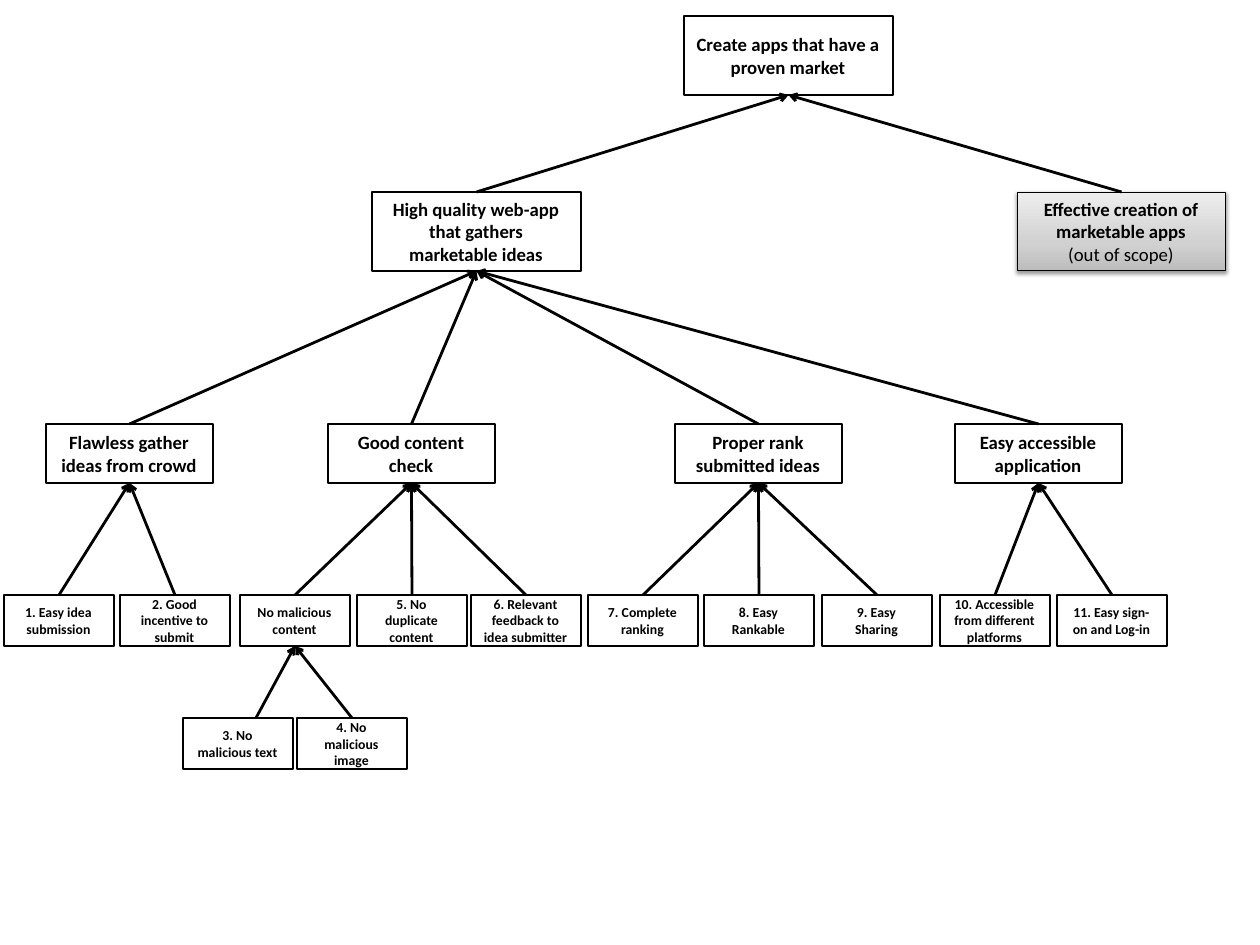
from copy import deepcopy

from lxml.etree import SubElement
from pptx import Presentation
from pptx.dml.color import RGBColor
from pptx.enum.shapes import MSO_CONNECTOR, MSO_SHAPE
from pptx.enum.text import MSO_ANCHOR, PP_ALIGN
from pptx.oxml.ns import qn
from pptx.util import Pt

PX = 914400 // 90
BLACK = RGBColor(0x00, 0x00, 0x00)
WHITE = RGBColor(0xFF, 0xFF, 0xFF)
GREYS = [(0, RGBColor(0xBD, 0xBD, 0xBD)), (35, RGBColor(0xD1, 0xD1, 0xD1)),
         (100, RGBColor(0xEE, 0xEE, 0xEE))]

# level: top, width, height, text size
LEVELS = {
    "vision": (16, 209, 79, 15),
    "goal": (192, 209, 79, 15),
    "subgoal": (424, 167, 59, 15),
    "leaf": (595, 110, 51, 11),
    "detail": (718, 110, 51, 11),
}

# name, parent, level, left, text
GOALS = [
    ("market", None, "vision", 684, "Create apps that have a proven market"),
    ("webapp", "market", "goal", 372, "High quality web-app that gathers marketable ideas"),
    ("scope", "market", "goal", 1017, "Effective creation of marketable apps"),
    ("gather", "webapp", "subgoal", 46, "Flawless gather ideas from crowd"),
    ("check", "webapp", "subgoal", 328, "Good content check"),
    ("rank", "webapp", "subgoal", 675, "Proper rank submitted ideas"),
    ("access", "webapp", "subgoal", 955, "Easy accessible application"),
    ("idea", "gather", "leaf", 4, "1. Easy idea submission"),
    ("incentive", "gather", "leaf", 120, "2. Good incentive to submit"),
    ("malicious", "check", "leaf", 240, "No malicious content"),
    ("duplicate", "check", "leaf", 357, "5. No duplicate content"),
    ("feedback", "check", "leaf", 471, "6. Relevant feedback to idea submitter"),
    ("complete", "rank", "leaf", 588, "7. Complete ranking"),
    ("rankable", "rank", "leaf", 704, "8. Easy Rankable"),
    ("sharing", "rank", "leaf", 822, "9. Easy Sharing"),
    ("platforms", "access", "leaf", 940, "10. Accessible from different platforms"),
    ("login", "access", "leaf", 1057, "11. Easy sign-on and Log-in"),
    ("text", "malicious", "detail", 183, "3. No malicious text"),
    ("image", "malicious", "detail", 297, "4. No malicious image"),
]
OUT_OF_SCOPE = {"scope": "(out of scope)"}
START_X = {"text": 256}  # arrow that leaves its box off centre


def add_text(tf, text, size=15, bold=True, first=True):
    """Write one centred paragraph into a text frame."""
    p = tf.paragraphs[0] if first else tf.add_paragraph()
    p.alignment = PP_ALIGN.CENTER
    r = p.add_run()
    r.text = text
    r.font.name, r.font.size, r.font.bold = "Calibri", Pt(size), bold
    r.font.color.rgb = BLACK


def shade(sp):
    """Give a box the grey gradient, thin line and soft shadow."""
    sp.fill.gradient()
    sp.fill.gradient_angle = 90
    stops = sp.fill._fill._gradFill.find(qn("a:gsLst"))
    stops.append(deepcopy(stops[-1]))
    for stop, (position, color) in zip(sp.fill.gradient_stops, GREYS):
        stop.position = position / 100
        stop.color.rgb = color
    sp.line.width = Pt(0.75)
    effects = sp._element.spPr.find(qn("a:effectLst"))
    shadow = SubElement(effects, qn("a:outerShdw"), blurRad=str(Pt(3.1)),
                        dist=str(Pt(1.6)), dir="5400000", rotWithShape="0")
    color = SubElement(shadow, qn("a:srgbClr"), val=str(BLACK))
    SubElement(color, qn("a:alpha"), val="38000")


def add_box(s, level, left, text, note=None):
    """Draw one goal box; a note marks it as out of scope."""
    top, width, height, size = LEVELS[level]
    sp = s.shapes.add_shape(MSO_SHAPE.RECTANGLE, left * PX, top * PX, width * PX, height * PX)
    sp.shadow.inherit = False
    sp.fill.solid()
    sp.fill.fore_color.rgb = WHITE
    sp.line.color.rgb = BLACK
    sp.line.width = Pt(2)
    tf = sp.text_frame
    tf.word_wrap = True
    tf.vertical_anchor = MSO_ANCHOR.MIDDLE
    tf.margin_left, tf.margin_right = 12 * PX, 13 * PX
    tf.margin_top = tf.margin_bottom = 6 * PX
    add_text(tf, text, size=size)
    if note:
        add_text(tf, note, size=size, bold=False, first=False)
        shade(sp)
    return sp


def add_arrow(s, child, parent, start_x=None):
    """Draw an arrow from the top of a child to the bottom of its parent."""
    x = start_x * PX if start_x else child.left + child.width // 2
    line = s.shapes.add_connector(MSO_CONNECTOR.STRAIGHT, x, child.top,
                                  parent.left + parent.width // 2,
                                  parent.top + parent.height)
    line.line.color.rgb = BLACK
    line.line.width = Pt(2.25)
    SubElement(line.line._get_or_add_ln(), qn("a:tailEnd"), type="arrow")
    SubElement(line._element.spPr, qn("a:effectLst"))


prs = Presentation()
prs.slide_width, prs.slide_height = 1260 * PX, 945 * PX
s = prs.slides.add_slide(prs.slide_layouts[6])

boxes = {name: add_box(s, level, left, text, OUT_OF_SCOPE.get(name))
         for name, _, level, left, text in GOALS}
for name, parent, *_ in GOALS:
    if parent:
        add_arrow(s, boxes[name], boxes[parent], START_X.get(name))

prs.save("out.pptx")
